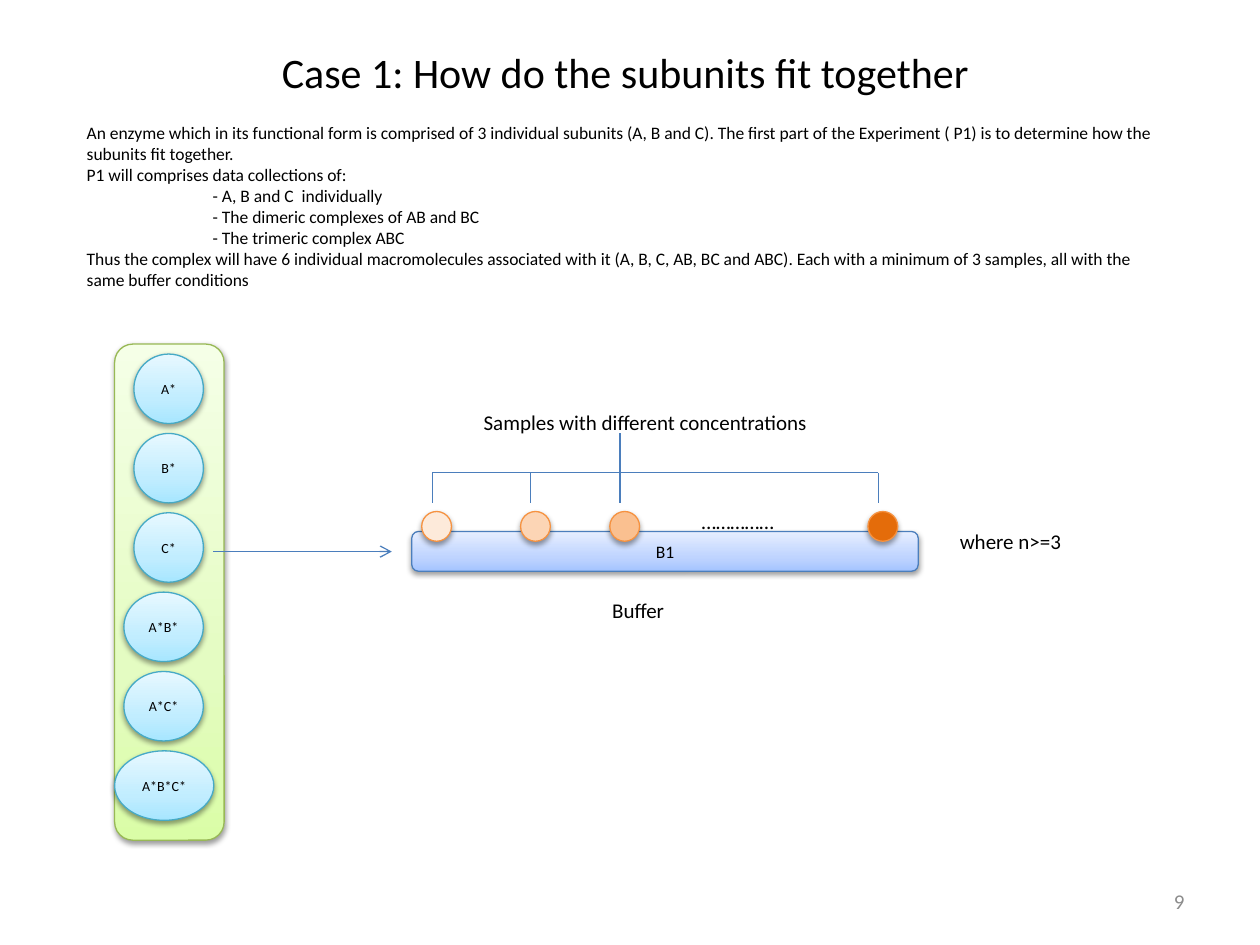
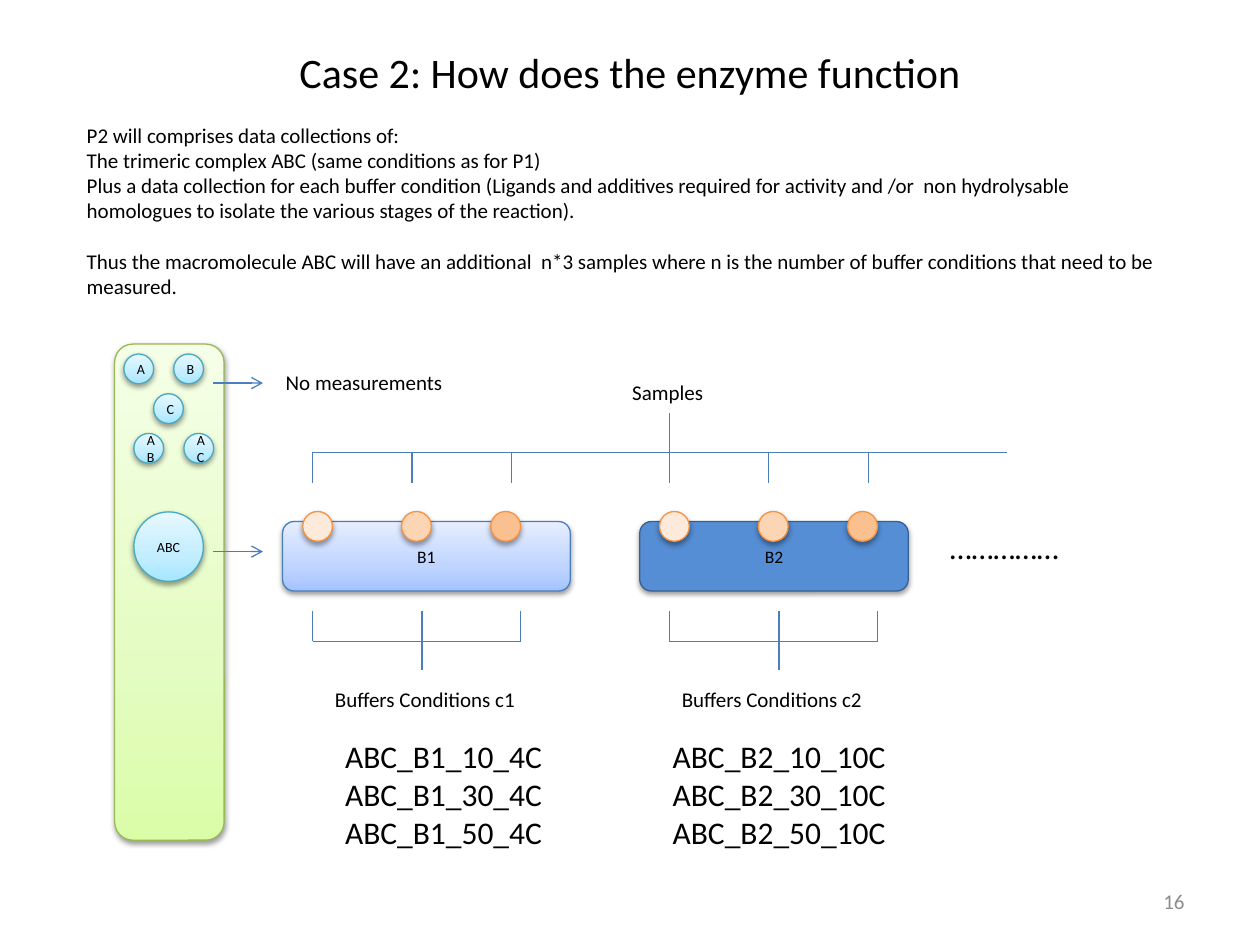
from lxml.etree import SubElement
from pptx import Presentation
from pptx.dml.color import RGBColor
from pptx.enum.shapes import MSO_CONNECTOR, MSO_SHAPE
from pptx.enum.text import MSO_ANCHOR, MSO_AUTO_SIZE, PP_ALIGN
from pptx.oxml.ns import qn
from pptx.util import Pt

COLORS = {
    "ink": "000000", "page": "8C8C8C", "wire": "4B7EBC",
    "leaf": "98B955", "aqua": "46AAC5", "amber": "F69240",
    "navy": "376092", "blue": "558ED5",
}
TINTS = ["FDEADA", "FCD5B5", "FAC090", "E46C0A"]
# Gradients run from the bottom up, with stops at 0, 35 and 100 percent
GREEN = ["DAFDA7", "E4FCC2", "F5FFE7"]
CYAN = ["A7E6FF", "C1EDFF", "E7F8FF"]
SKY = ["A4C4FF", "BFD4FF", "E6EEFF"]
STOPS = [0, 35, 100]

FONT = "Calibri"
BIG, SMALL = 39.7, 17        # circle sizes
ROW = 45.1                   # pitch of the big circles
TOP = 202.3                  # first circle in the panel
DOTS = "\u2026" * 5


class Deck:
    def __init__(self):
        self.prs = Presentation()
        self.prs.slide_width, self.prs.slide_height = Pt(720), Pt(540)
        self.slide = None

    # Slide with title, page number and the green panel
    def page(self, title, number):
        self.slide = self.prs.slides.add_slide(self.prs.slide_layouts[6])
        mid = MSO_ANCHOR.MIDDLE
        self.text([title], 36, 21.6, 648, 38.9, 24,
                  align=PP_ALIGN.CENTER, anchor=mid)
        self.text([number], 516, 500.5, 168, 28.8, 12, color="page",
                  align=PP_ALIGN.RIGHT, anchor=mid)
        self.shape(MSO_SHAPE.ROUNDED_RECTANGLE, 65.5, 196.6, 62.6, 283.5,
                   GREEN, "leaf")

    def run(self, para, words, size, color="ink"):
        run = para.add_run()
        run.text = words
        run.font.name, run.font.size = FONT, Pt(size)
        run.font.color.rgb = RGBColor.from_string(COLORS[color])

    def text(self, lines, x, y, w, h, size, color="ink", wrap=True,
             align=PP_ALIGN.LEFT, anchor=MSO_ANCHOR.TOP):
        box = self.slide.shapes.add_textbox(Pt(x), Pt(y), Pt(w), Pt(h))
        frame = box.text_frame
        frame.word_wrap, frame.vertical_anchor = wrap, anchor
        if anchor == MSO_ANCHOR.TOP:
            frame.auto_size = MSO_AUTO_SIZE.SHAPE_TO_FIT_TEXT
        for i, line in enumerate(lines):
            para = frame.add_paragraph() if i else frame.paragraphs[0]
            para.alignment = align
            self.run(para, line, size, color)
        return frame.paragraphs

    def label(self, words, x, y, w):
        self.text([words], x, y, w, 21.8, 12, wrap=False)

    def shape(self, kind, x, y, w, h, fill, line, words="", size=8):
        item = self.slide.shapes.add_shape(kind, Pt(x), Pt(y), Pt(w), Pt(h))
        props = item._element.spPr
        if isinstance(fill, list):
            grad = SubElement(props, qn("a:gradFill"), rotWithShape="1")
            stops = SubElement(grad, qn("a:gsLst"))
            for pos, tone in zip(STOPS, fill):
                stop = SubElement(stops, qn("a:gs"), pos=str(pos * 1000))
                SubElement(stop, qn("a:srgbClr"), val=tone)
            SubElement(grad, qn("a:lin"), ang="16200000", scaled="0")
        else:
            item.fill.solid()
            item.fill.fore_color.rgb = RGBColor.from_string(fill)
        item.line.color.rgb = RGBColor.from_string(COLORS[line])
        item.line.width = Pt(0.75)
        # Soft shadow below
        item.shadow.inherit = False
        drop = SubElement(props.find(qn("a:effectLst")), qn("a:outerShdw"),
                          blurRad=str(Pt(3.1)), dist=str(Pt(1.6)),
                          dir="5400000", rotWithShape="0")
        tone = SubElement(drop, qn("a:srgbClr"), val=COLORS["ink"])
        SubElement(tone, qn("a:alpha"), val="38000")
        if words:
            para = item.text_frame.paragraphs[0]
            para.alignment = PP_ALIGN.CENTER
            self.run(para, words, size)

    def unit(self, words, x, y, w=BIG, h=BIG):
        self.shape(MSO_SHAPE.OVAL, x, y, w, h, CYAN, "aqua", words)

    def buffer(self, words, x, y, w, h, fill, line):
        self.shape(MSO_SHAPE.ROUNDED_RECTANGLE, x, y, w, h, fill, line,
                   words, 10)

    def samples(self, x, steps):
        for step, tint in zip(steps, TINTS):
            self.shape(MSO_SHAPE.OVAL, x + step, 292.3, SMALL, SMALL,
                       tint, "amber")

    def wire(self, x1, y1, x2, y2, home=None, arrow=False):
        shapes = (home or self.slide).shapes
        wire = shapes.add_connector(MSO_CONNECTOR.STRAIGHT,
                                    Pt(x1), Pt(y1), Pt(x2), Pt(y2))
        wire.line.color.rgb = RGBColor.from_string(COLORS["wire"])
        wire.line.width = Pt(0.75)
        if arrow:
            SubElement(wire.line._get_or_add_ln(), qn("a:tailEnd"),
                       type="arrow")
        SubElement(wire._element.spPr, qn("a:effectLst"))

    # Bar with teeth on one side and a stem on the other
    def comb(self, bar, tip, teeth, stem, far, end=None):
        home = self.slide.shapes.add_group_shape()
        self.wire(teeth[0], bar, end or teeth[-1], bar, home)
        for x in teeth:
            self.wire(x, bar, x, tip, home)
        self.wire(stem, bar, stem, far, home)


deck = Deck()

# Slide 1: six macromolecules, one buffer
deck.page("Case 1: How do the subunits fit together ", "9")
paras = deck.text([
    "An enzyme which in its functional form is comprised of 3 individual "
    "subunits (A, B and C). The first part of the Experiment ( P1) is to "
    "determine how the subunits fit together.",
    "P1 will comprises data collections of:",
    "- A, B and C  individually",
    "- The dimeric complexes of AB and BC",
    "- The trimeric complex ABC",
    "Thus the complex will have 6 individual macromolecules associated with "
    "it (A, B, C, AB, BC and ABC). Each with a minimum of 3 samples, all "
    "with the same buffer conditions",
], 42.5, 66.2, 629.3, 118.8, 10)
for para in paras[2:5]:
    para._p.get_or_add_pPr().set("marL", str(Pt(72)))

units = [("A*", 76.5, BIG), ("B*", 76.5, BIG), ("C*", 76.5, BIG),
         ("A*B*", 70.8, 45.4), ("A*C*", 70.8, 45.4), ("A*B*C*", 65.5, 56.7)]
for i, (name, x, w) in enumerate(units):
    deck.unit(name, x, TOP + i * ROW + i * 0.25, w)
deck.wire(121.9, 315.2, 223.9, 315.2, arrow=True)

deck.buffer("B1", 235.3, 303.7, 289.4, 22.7, SKY, "wire")
deck.comb(270, 287.3, [247, 303.3, 354.3, 501.9], 354.3, 247.5)
deck.text(["Samples with different concentrations "],
          269.3, 230.4, 266.4, 21.8, 12)
deck.label("where n>=3", 541.4, 298.2, 74.9)
deck.label("Buffer", 342.7, 337.7, 44.6)
deck.samples(241, [0, 56.5, 107.5, 255])
deck.label(DOTS, 393.8, 287.3, 56.9)

# Slide 2: one macromolecule, many buffers
deck.page("Case 2: How does the enzyme function", "16")
paras = deck.text([
    "P2 will comprises data collections of:",
    "The trimeric complex ABC (same conditions as for P1)",
    "Plus a data collection for each buffer condition (Ligands and additives "
    "required for activity and /or  non hydrolysable homologues to isolate "
    "the various stages of the reaction). ",
    "Thus the macromolecule ABC will have an additional  n*3 samples where n "
    "is the number of buffer conditions that need to be measured.",
], 42.5, 66.2, 629.3, 108.7, 12)
paras[3].space_before = Pt(14.4)

deck.unit("ABC", 76.5, 292.5)
for name, x, row in [("AC", 105.1, 2), ("AB", 76.5, 2), ("C", 87.8, 1),
                     ("B", 99.3, 0), ("A", 70.8, 0)]:
    deck.unit(name, x, TOP + row * 22.7, SMALL, SMALL)
for y in (218.9, 315.2):
    deck.wire(121.9, y, 150.3, y, arrow=True)
deck.label("No measurements", 156.2, 207.4, 105.1)

# Samples bracket above both buffers
left, right = 178.6, 382.5
teeth = [x + i * 56.8 for x in (left, right) for i in range(3)]
deck.comb(258.5, 275.8, teeth, right, 236.2, end=575.3)
deck.label("Samples", 354.2, 213.1, 55.4)

# Each buffer: bar, samples, bracket, condition and sample names
buffers = [
    ("1", "4C", left, 161.5, 164.4, SKY, "wire", 184.3, 190.1, 128.2),
    ("2", "10C", right, 365.6, 153.4, COLORS["blue"], "navy",
     382.5, 377.3, 137.5),
]
for num, temp, x, bar, wide, fill, line, note, names, span in buffers:
    deck.buffer("B" + num, bar, 298, wide, BIG, fill, line)
    deck.samples(x - 5.6, [0, 56.5, 107.5])
    deck.comb(366.5, 349.2, [x, x + 62.6, x + 119], x + 62.6, 383)
    deck.label("Buffers Conditions c" + num, note, 388.8, 118.8)
    deck.text([f"ABC_B{num}_{dose}_{temp}" for dose in (10, 30, 50)],
              names, 417.6, span, 72.7, 18, wrap=False)
deck.text([DOTS], 535.7, 298.1, 79.2, 28.8, 18)

deck.prs.save("out.pptx")
